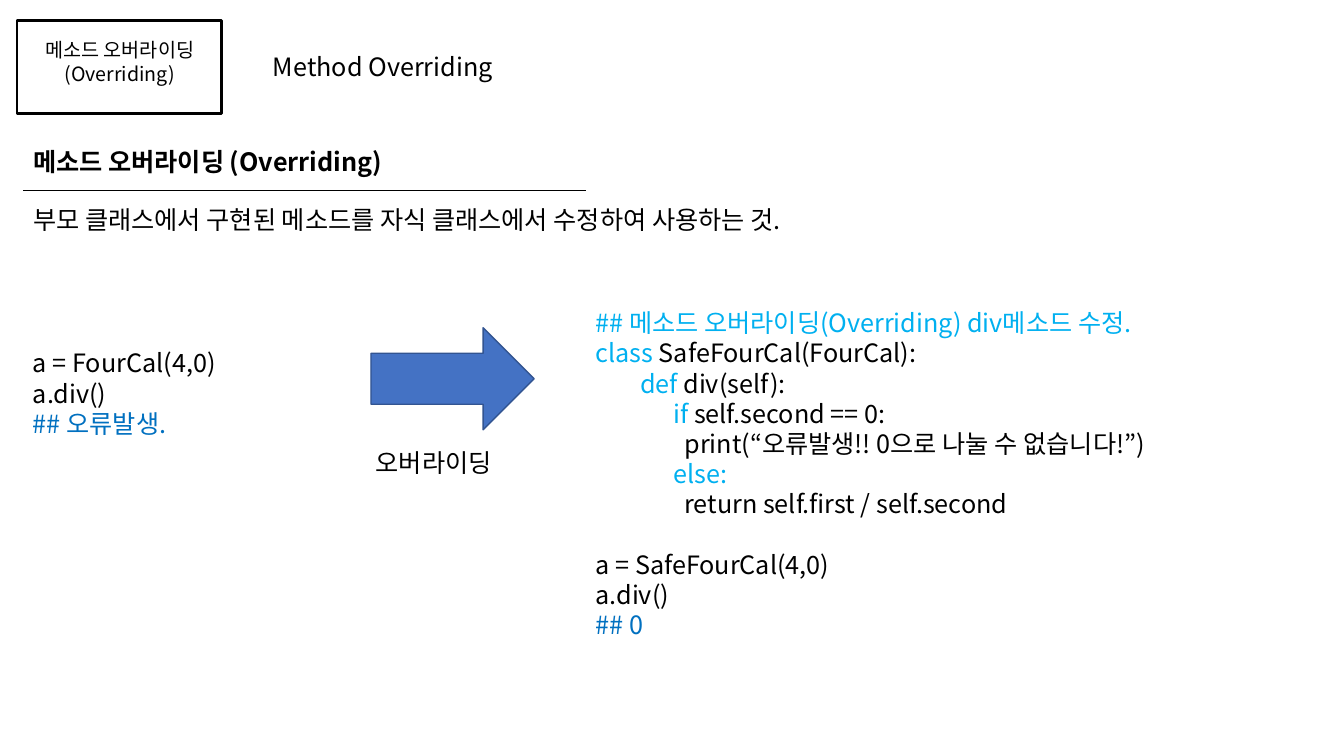
"""Builds the slide that explains method overriding with a before-and-after code example."""
from dataclasses import dataclass

from lxml.etree import SubElement
from pptx import Presentation
from pptx.dml.color import RGBColor
from pptx.enum.shapes import MSO_CONNECTOR as CONN, MSO_SHAPE as SHAPE
from pptx.enum.text import MSO_ANCHOR as ANCHOR, MSO_AUTO_SIZE as AUTO, PP_ALIGN as ALIGN
from pptx.oxml.ns import qn
from pptx.util import Cm, Pt

FONT = "Noto Sans CJK KR"
BLACK, BLUE, SKY = "000000", "0070C0", "00B0F0"
LINE_HEIGHT = 1.2
SPACE_CM = 0.14


@dataclass
class Box:
    left: float
    top: float
    width: float
    height: float

    def lengths(self) -> tuple:
        return Cm(self.left), Cm(self.top), Cm(self.width), Cm(self.height)


@dataclass
class Line:
    runs: list[tuple[str, str]]
    indent: int = 0
    gap: bool = False


@dataclass
class TextItem:
    box: Box
    lines: list[Line]
    size: float = 18
    bold: bool = False
    align: ALIGN = ALIGN.LEFT


def plain(text: str, color: str = BLACK, **kwargs) -> Line:
    return Line([(text, color)], **kwargs)


TITLE = TextItem(Box(0.58, 3.56, 18.21, 1.02), [plain("메소드 오버라이딩 (Overriding)")], bold=True)
BODY = TextItem(Box(0.58, 5.03, 31.42, 1.02),
                [plain("부모 클래스에서 구현된 메소드를 자식 클래스에서 수정하여 사용하는 것.")],
                align=ALIGN.JUSTIFY)
TOPIC_FRAME = Box(0.43, 0.51, 5.16, 2.36)
ARROW = Box(9.35, 8.26, 4.11, 2.57)
TEXTS = [
    TextItem(Box(0.58, 0.84, 4.88, 1.45), [plain("메소드 오버라이딩"), plain("(Overriding)")],
             size=14, align=ALIGN.CENTER),
    TextItem(Box(6.63, 1.17, 9.25, 1.02), [plain("Method Overriding")]),
    TextItem(Box(0.58, 8.64, 22.17, 3.33),
             [plain("a = FourCal(4,0)"), plain("a.div()"), plain("## 오류발생.", BLUE)]),
    TextItem(Box(14.76, 7.62, 18.47, 8.71), [
        plain("## 메소드 오버라이딩(Overriding) div메소드 수정.", SKY),
        Line([("class ", SKY), ("SafeFourCal(FourCal):", BLACK)]),
        Line([("def", SKY), (" div(self):", BLACK)], indent=8),
        Line([("if ", SKY), ("self.second == 0:", BLACK)], indent=14),
        plain("print(“오류발생!! 0으로 나눌 수 없습니다!”)", indent=16),
        plain("else:", SKY, indent=14),
        plain("return self.first / self.second", indent=16),
        plain("a = SafeFourCal(4,0)", gap=True),
        plain("a.div()"),
        plain("## 0", BLUE),
    ]),
    TextItem(Box(9.22, 11.15, 4.85, 1.8), [plain("오버라이딩")]),
]


def rgb(color: str) -> RGBColor:
    return RGBColor.from_string(color)


def add_run(p, text: str, *, size: float, color: str, bold: bool = False) -> None:
    r = p.add_run()
    r.text = text
    r.font.name, r.font.size, r.font.bold = FONT, Pt(size), bold
    r.font.color.rgb = rgb(color)
    SubElement(r.font._element, qn("a:ea")).set("typeface", FONT)


def write(sp, item: TextItem) -> None:
    sp.left, sp.top, sp.width, sp.height = item.box.lengths()
    tf = sp.text_frame
    tf.word_wrap, tf.auto_size, tf.vertical_anchor = True, AUTO.NONE, ANCHOR.TOP
    pitch = Pt(item.size * LINE_HEIGHT)
    for i, line in enumerate(item.lines):
        p = tf.add_paragraph() if i else tf.paragraphs[0]
        p.alignment, p.line_spacing = item.align, pitch
        p.space_before = pitch if line.gap else Pt(0)
        pPr = p._p.get_or_add_pPr()
        pPr.set("marL", str(Cm(line.indent * SPACE_CM)))
        pPr.set("indent", "0")
        SubElement(pPr, qn("a:buNone"))
        for text, color in line.runs:
            add_run(p, text, size=item.size, color=color, bold=item.bold)


def add_block(s, kind: SHAPE, box: Box, *, line: str, width: float, fill: str = "") -> None:
    sp = s.shapes.add_shape(kind, *box.lengths())
    sp.shadow.inherit = False
    if fill:
        sp.fill.solid()
        sp.fill.fore_color.rgb = rgb(fill)
    else:
        sp.fill.background()
    sp.line.color.rgb, sp.line.width = rgb(line), Pt(width)


def add_rule(s, left: float, right: float, y: float) -> None:
    cn = s.shapes.add_connector(CONN.STRAIGHT, Cm(left), Cm(y), Cm(right), Cm(y))
    cn.line.color.rgb, cn.line.width = rgb(BLACK), Pt(1.25)
    SubElement(cn._element.spPr, qn("a:effectLst"))


def main() -> None:
    prs = Presentation()
    prs.slide_width, prs.slide_height = Cm(33.87), Cm(19.05)
    s = prs.slides.add_slide(prs.slide_layouts[1])
    write(s.shapes.title, TITLE)
    write(s.placeholders[1], BODY)
    add_rule(s, 0.58, 14.76, 4.8)
    add_block(s, SHAPE.RECTANGLE, TOPIC_FRAME, line=BLACK, width=2)
    for item in TEXTS:
        write(s.shapes.add_textbox(*item.box.lengths()), item)
    add_block(s, SHAPE.RIGHT_ARROW, ARROW, fill="4472C4", line="325491", width=1)
    prs.save("out.pptx")


if __name__ == "__main__":
    main()
